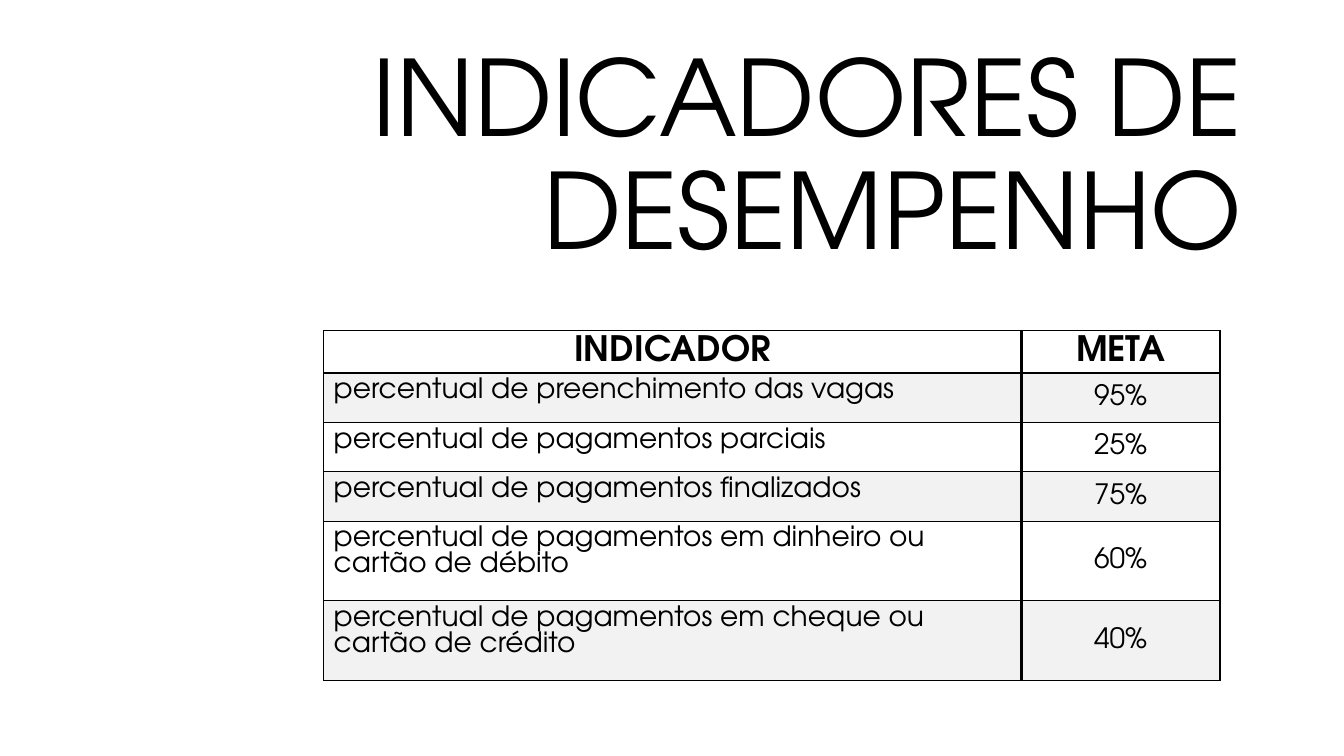
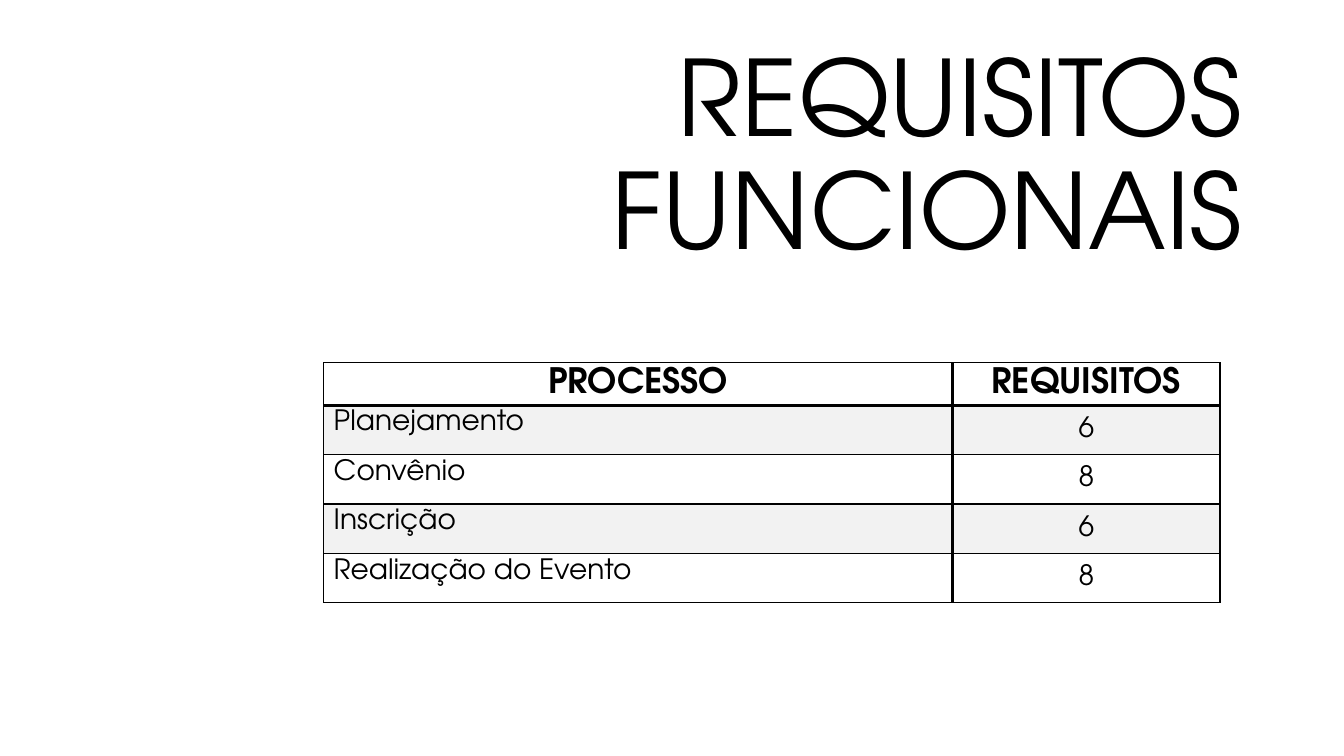
from lxml import etree
from pptx import Presentation
from pptx import util as u
from pptx.dml.color import RGBColor
from pptx.enum import text
from pptx.oxml.ns import qn

FONT = "TeX Gyre Adventor"
BLACK = RGBColor(0x00, 0x00, 0x00)
WHITE = RGBColor(0xFF, 0xFF, 0xFF)
BAND = RGBColor(0xF2, 0xF2, 0xF2)

SLIDE_W, SLIDE_H = 13.33, 7.5
TITLE_BOX = (0.92, 0.4, 11.5, 3.02)
TABLE_LEFT, TABLE_W = 3.21, 8.89
HEADER_H, LINE_H, TWO_LINES_H = 0.41, 0.49, 0.79
LONG_LABEL = 40
THIN, THICK = 1, 2.25

PAGES = [
    {
        "title": "INDICADORES DE DESEMPENHO",
        "top": 3.28,
        "value_width": 1.97,
        "header": ("INDICADOR", "META"),
        "rows": [
            ("percentual de preenchimento das vagas", "95%"),
            ("percentual de pagamentos parciais", "25%"),
            ("percentual de pagamentos finalizados", "75%"),
            ("percentual de pagamentos em dinheiro ou cartão de débito", "60%"),
            ("percentual de pagamentos em cheque ou cartão de crédito", "40%"),
        ],
    },
    {
        "title": "REQUISITOS FUNCIONAIS",
        "top": 3.6,
        "value_width": 2.65,
        "header": ("PROCESSO", "REQUISITOS"),
        "rows": [
            ("Planejamento", "6"),
            ("Convênio", "8"),
            ("Inscrição", "6"),
            ("Realização do Evento", "8"),
        ],
    },
]


def write(frame, words, size, align, spacing=1.0, bold=False):
    frame.text = words
    paragraph = frame.paragraphs[0]
    paragraph.alignment = align
    paragraph.line_spacing = spacing
    font = paragraph.runs[0].font
    font.name, font.size, font.bold = FONT, u.Pt(size), bold
    font.color.rgb = BLACK


def add_title(slide, words):
    title = slide.shapes.title
    title.left, title.top, title.width, title.height = map(u.Inches, TITLE_BOX)
    frame = title.text_frame
    write(frame, words, 75, text.PP_ALIGN.RIGHT, spacing=0.9)
    frame.word_wrap = True
    frame.auto_size = text.MSO_AUTO_SIZE.NONE
    frame.vertical_anchor = text.MSO_ANCHOR.TOP


def set_borders(cell, widths):
    properties = cell._tc.get_or_add_tcPr()
    for position, (side, width) in enumerate(widths.items()):
        line = etree.Element(qn(f"a:ln{side}"), w=str(u.Pt(width)))
        fill = etree.SubElement(line, qn("a:solidFill"))
        etree.SubElement(fill, qn("a:srgbClr"), val=str(BLACK))
        properties.insert(position, line)


def format_cell(cell, words, row, column):
    is_header, is_value = row == 0, column == 1
    centred = is_header or is_value
    align = text.PP_ALIGN.CENTER if centred else text.PP_ALIGN.LEFT
    write(cell.text_frame, words, 25 if is_header else 20, align, bold=is_header)
    middle = is_value and not is_header
    cell.vertical_anchor = text.MSO_ANCHOR.MIDDLE if middle else text.MSO_ANCHOR.TOP
    cell.margin_left = cell.margin_right = u.Inches(0.1)
    cell.margin_top = cell.margin_bottom = u.Inches(0.05)
    cell.fill.solid()
    cell.fill.fore_color.rgb = BAND if row % 2 else WHITE
    set_borders(cell, {
        "L": THICK if is_value else THIN,
        "R": THIN if is_value else THICK,
        "T": THICK if row == 1 else THIN,
        "B": THICK if is_header else THIN,
    })


def add_goals(slide, page):
    lines = [page["header"], *page["rows"]]
    heights = [HEADER_H] + [
        TWO_LINES_H if len(label) > LONG_LABEL else LINE_H
        for label, value in page["rows"]
    ]
    box = (TABLE_LEFT, page["top"], TABLE_W, sum(heights))
    table = slide.shapes.add_table(len(lines), 2, *map(u.Inches, box)).table
    widths = (TABLE_W - page["value_width"], page["value_width"])
    for column, width in zip(table.columns, widths):
        column.width = u.Inches(width)
    for row, (line, height) in enumerate(zip(lines, heights)):
        table.rows[row].height = u.Inches(height)
        for column, words in enumerate(line):
            format_cell(table.cell(row, column), words, row, column)


def main():
    deck = Presentation()
    deck.slide_width, deck.slide_height = u.Inches(SLIDE_W), u.Inches(SLIDE_H)
    title_only = deck.slide_layouts[5]
    for page in PAGES:
        slide = deck.slides.add_slide(title_only)
        add_title(slide, page["title"])
        add_goals(slide, page)
    deck.save("out.pptx")


if __name__ == "__main__":
    main()
